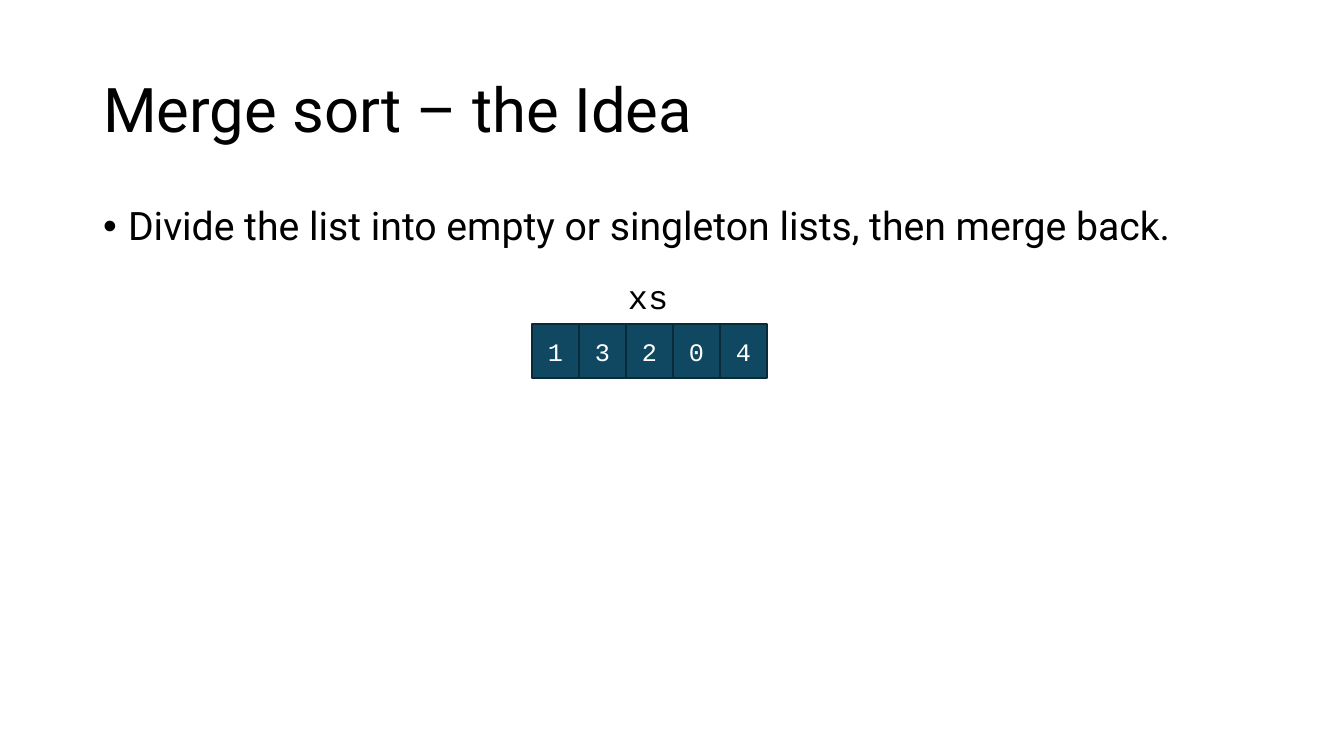
from dataclasses import dataclass

from lxml.etree import SubElement as Sub
from pptx import Presentation
from pptx.dml.color import RGBColor as Rgb
from pptx.enum.shapes import MSO_SHAPE as Kind
from pptx.enum.text import MSO_ANCHOR as Anchor, MSO_AUTO_SIZE as Fit, PP_ALIGN as Align
from pptx.oxml.ns import qn
from pptx.util import Pt

SCALE = 914400 / 100.8


@dataclass(frozen=True)
class Theme:
    """Hold the colours, fonts and type sizes."""
    ink: str = "000000"
    fill: str = "104862"
    edge: str = "092A39"
    light: str = "FFFFFF"
    sans: str = "Roboto"
    mono: str = "Courier New"
    title: int = 44
    body: int = 28
    label: int = 24
    cell: int = 18


THEME = Theme()


def px(*sizes):
    """Turn px lengths into EMU."""
    return [round(size * SCALE) for size in sizes]


def write(shape, text, face, size, tint, align=Align.LEFT):
    """Put one formatted paragraph into a shape."""
    shape.text_frame.text = text
    para = shape.text_frame.paragraphs[0]
    para.alignment = align
    font = para.runs[0].font
    font.name, font.size = face, Pt(size)
    font.color.rgb = Rgb.from_string(tint)
    return para


def hold(holder, box, text, size, anchor):
    """Move and fill a placeholder."""
    holder.left, holder.top, holder.width, holder.height = px(*box)
    frame = holder.text_frame
    frame.auto_size = Fit.NONE
    frame.vertical_anchor = anchor
    para = write(holder, text, THEME.sans, size, THEME.ink)
    para.line_spacing = 0.9
    para.space_before = Pt(0)
    return para


def bullet(para, indent):
    """Give a paragraph a hanging round bullet."""
    props = para._p.get_or_add_pPr()
    step = px(indent)[0]
    props.set("marL", str(step))
    props.set("indent", str(-step))
    Sub(props, qn("a:buFont")).set("typeface", "Arial")
    Sub(props, qn("a:buChar")).set("char", "•")


def label(slide, box, text):
    """Add the name of a list."""
    shape = slide.shapes.add_textbox(*px(*box))
    write(shape, text, THEME.mono, THEME.label, THEME.ink)
    shape.text_frame.word_wrap = False
    shape.text_frame.auto_size = Fit.SHAPE_TO_FIT_TEXT


def cell(slide, box, text):
    """Add one list cell."""
    shape = slide.shapes.add_shape(Kind.RECTANGLE, *px(*box))
    shape.shadow.inherit = False
    shape.fill.solid()
    shape.fill.fore_color.rgb = Rgb.from_string(THEME.fill)
    shape.line.color.rgb = Rgb.from_string(THEME.edge)
    shape.line.width = Pt(1.5)
    shape.text_frame.vertical_anchor = Anchor.MIDDLE
    write(shape, text, THEME.mono, THEME.cell, THEME.light, Align.CENTER)


def row(slide, left, top, wide, high, items):
    """Add a list as a row of touching cells."""
    for index, item in enumerate(items):
        cell(slide, (left + index * wide, top, wide, high), str(item))


def main():
    """Build and save the slide."""
    deck = Presentation()
    deck.slide_width, deck.slide_height = px(1344, 756)
    slide = deck.slides.add_slide(deck.slide_layouts[1])
    hold(slide.shapes.title, (93, 40, 1159, 146), "Merge sort – the Idea",
         THEME.title, Anchor.MIDDLE)
    idea = hold(slide.placeholders[1], (93, 202, 1159, 105),
                "Divide the list into empty or singleton lists, then merge back.",
                THEME.body, Anchor.TOP)
    bullet(idea, 25)
    label(slide, (618, 271, 61, 50), "xs")
    row(slide, 532, 324, 47, 54, [1, 3, 2, 0, 4])
    deck.save("out.pptx")


if __name__ == "__main__":
    main()
